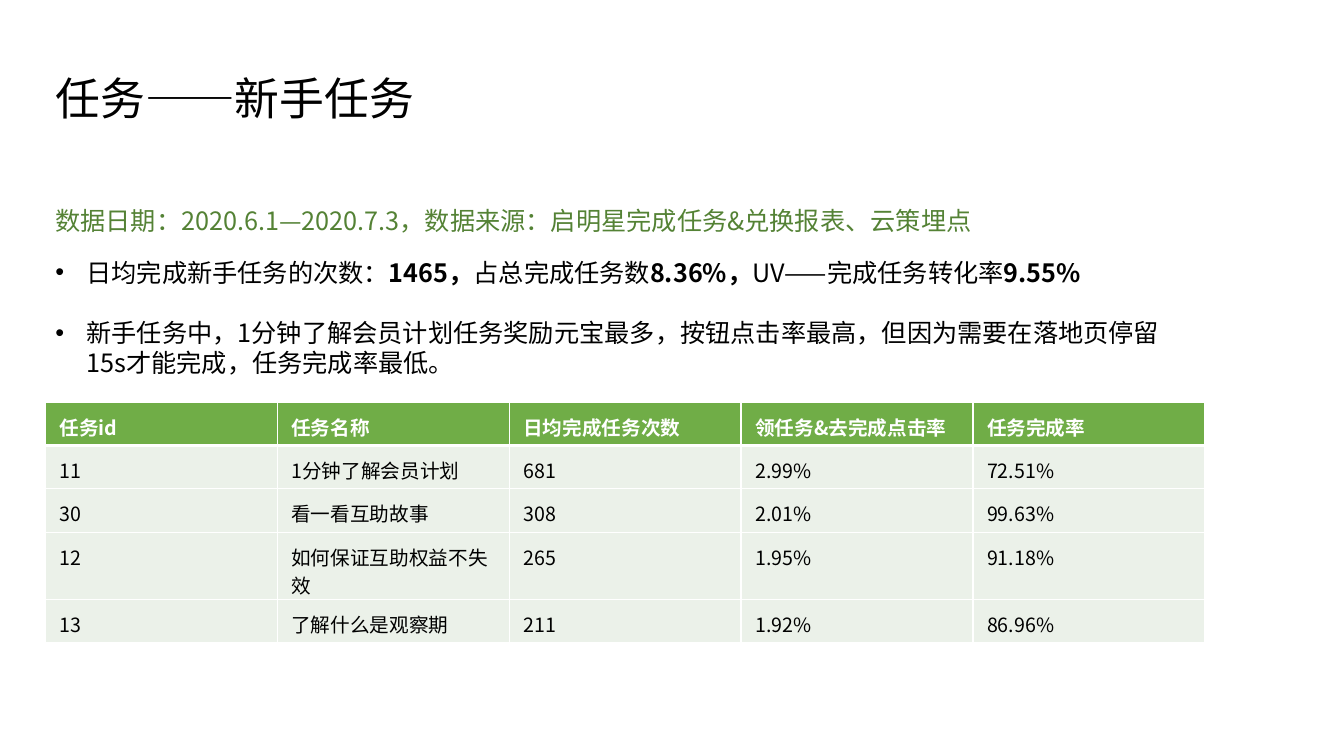
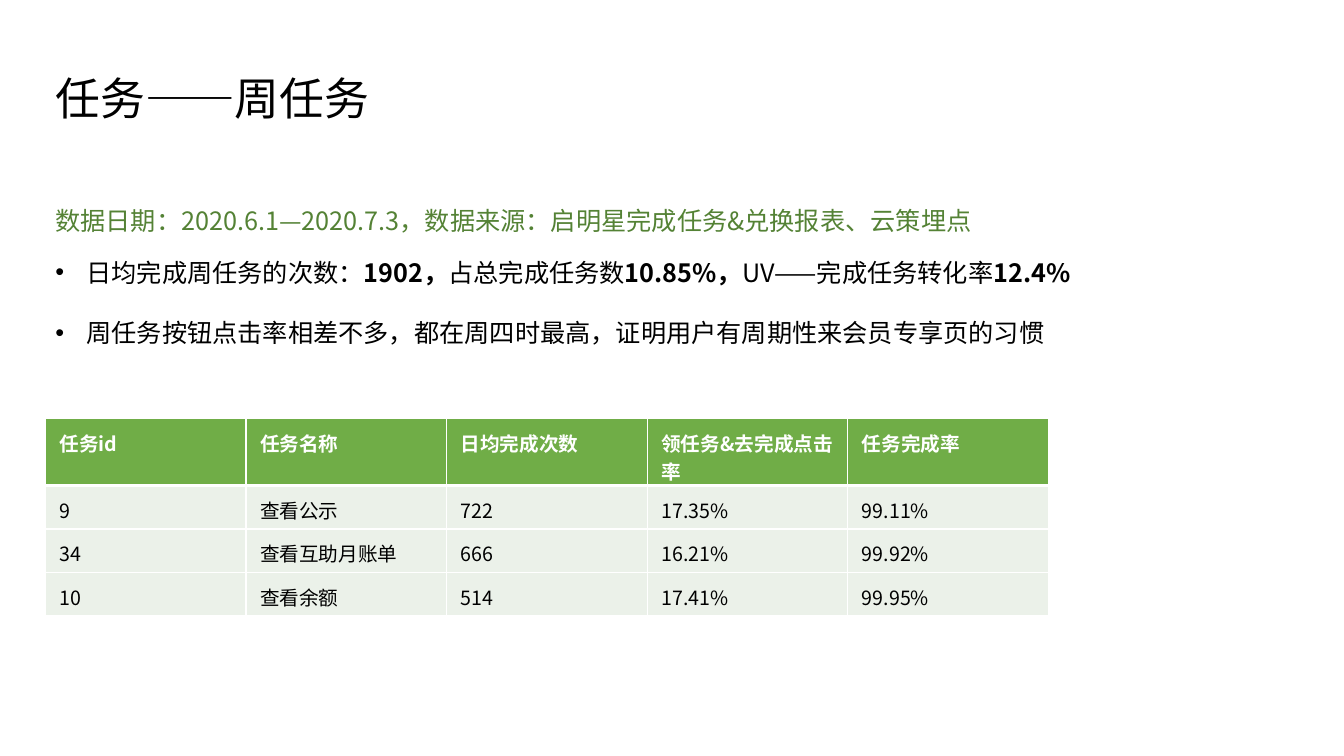
from dataclasses import dataclass

from lxml import etree
from pptx import Presentation
from pptx.dml.color import RGBColor
from pptx.enum.text import MSO_ANCHOR, MSO_AUTO_SIZE, PP_ALIGN
from pptx.oxml.ns import qn
from pptx.util import Inches, Pt

TOP = MSO_ANCHOR.TOP
FIXED = MSO_AUTO_SIZE.NONE
LEFT = PP_ALIGN.LEFT

FONT = "Noto Sans CJK SC"
HUES = {
    "ink": "000000",
    "note": "548235",
    "head": "70AD47",
    "row": "EBF1E9",
    "line": "FFFFFF",
}
EDGE = 0.45
PITCH = 1.2
INDENT = 0.31
LOW, HIGH = 0.43, 0.66
SOURCE = "数据日期：2020.6.1—2020.7.3，数据来源：启明星完成任务&兑换报表、云策埋点"


@dataclass(frozen=True)
class Span:
    text: str
    bold: bool = False


@dataclass(frozen=True)
class Grid:
    top: float
    col: float
    tall: int
    rows: list[list[str]]


@dataclass(frozen=True)
class Page:
    title: str
    points: list[list[Span]]
    grid: Grid


def stats(kind: str, count: str, share: str, rate: str) -> list[Span]:
    return [
        Span(f"日均完成{kind}任务的次数："),
        Span(f"{count}，", True),
        Span("占总完成任务数"),
        Span(f"{share}，", True),
        Span("UV——完成任务转化率"),
        Span(rate, True),
    ]


PAGES = [
    Page(
        "任务——新手任务",
        [
            stats("新手", "1465", "8.36%", "9.55%"),
            [Span("新手任务中，1分钟了解会员计划任务奖励元宝最多，按钮点击率最高，"
                  "但因为需要在落地页停留15s才能完成，任务完成率最低。")],
        ],
        Grid(3.99, 2.3, 3, [
            ["任务id", "任务名称", "日均完成任务次数", "领任务&去完成点击率", "任务完成率"],
            ["11", "1分钟了解会员计划", "681", "2.99%", "72.51%"],
            ["30", "看一看互助故事", "308", "2.01%", "99.63%"],
            ["12", "如何保证互助权益不失效", "265", "1.95%", "91.18%"],
            ["13", "了解什么是观察期", "211", "1.92%", "86.96%"],
        ]),
    ),
    Page(
        "任务——周任务",
        [
            stats("周", "1902", "10.85%", "12.4%"),
            [Span("周任务按钮点击率相差不多，都在周四时最高，证明用户有周期性来会员专享页的习惯")],
        ],
        Grid(4.15, 1.99, 0, [
            ["任务id", "任务名称", "日均完成次数", "领任务&去完成点击率", "任务完成率"],
            ["9", "查看公示", "722", "17.35%", "99.11%"],
            ["34", "查看互助月账单", "666", "16.21%", "99.92%"],
            ["10", "查看余额", "514", "17.41%", "99.95%"],
        ]),
    ),
]


def write(para, spans: list[Span], size: int, hue: str) -> None:
    para.alignment = LEFT
    for span in spans:
        run = para.add_run()
        run.text = span.text
        font = run.font
        font.size = Pt(size)
        font.bold = span.bold
        font.name = FONT
        font.color.rgb = RGBColor.from_string(HUES[hue])
        latin = font._element.find(qn("a:latin"))
        east = etree.Element(qn("a:ea"), typeface=FONT)
        latin.addnext(east)


def place(shape, top: float, width: float, height: float, wrap: bool = True):
    shape.left, shape.top = Inches(EDGE), Inches(top)
    shape.width, shape.height = Inches(width), Inches(height)
    frame = shape.text_frame
    frame.word_wrap = wrap
    frame.auto_size = FIXED
    frame.vertical_anchor = TOP
    return frame


def fill(frame, lines: list[list[Span]], size: int, hue: str,
         dots: bool = False) -> None:
    for i, spans in enumerate(lines):
        para = frame.add_paragraph() if i else frame.paragraphs[0]
        para.line_spacing = Pt(size * PITCH)
        para.space_before = Pt(size * PITCH if i else 0)
        write(para, spans, size, hue)
        if dots:
            props = para._p.get_or_add_pPr()
            props.set("marL", str(Inches(INDENT)))
            props.set("indent", str(-Inches(INDENT)))
            etree.SubElement(props, qn("a:buFont"), typeface="Arial")
            etree.SubElement(props, qn("a:buChar"), char="•")


def border(cell, row: int) -> None:
    props = cell._tc.get_or_add_tcPr()
    widths = {"L": 1, "R": 1, "T": 3 if row == 1 else 1, "B": 1 if row else 3}
    for i, (side, width) in enumerate(widths.items()):
        line = etree.Element(qn(f"a:ln{side}"), w=str(Pt(width)))
        solid = etree.SubElement(line, qn("a:solidFill"))
        etree.SubElement(solid, qn("a:srgbClr"), val=HUES["line"])
        props.insert(i, line)


def draw_grid(slide, grid: Grid) -> None:
    count, cols = len(grid.rows), len(grid.rows[0])
    high = LOW * (count - 1) + HIGH
    table = slide.shapes.add_table(
        count, cols, Inches(EDGE), Inches(grid.top),
        Inches(grid.col * cols), Inches(high)).table
    table.horz_banding = False
    for col in table.columns:
        col.width = Inches(grid.col)
    for r, texts in enumerate(grid.rows):
        table.rows[r].height = Inches(HIGH if r == grid.tall else LOW)
        for c, text in enumerate(texts):
            cell = table.cell(r, c)
            cell.margin_left = cell.margin_right = Inches(0.14)
            cell.margin_top, cell.margin_bottom = Inches(0.1), Inches(0)
            cell.vertical_anchor = TOP
            cell.fill.solid()
            cell.fill.fore_color.rgb = RGBColor.from_string(
                HUES["row" if r else "head"])
            border(cell, r)
            write(cell.text_frame.paragraphs[0], [Span(text, r == 0)], 14,
                  "ink" if r else "line")


def add_box(slide):
    return slide.shapes.add_textbox(0, 0, 0, 0)


def draw(deck, page: Page) -> None:
    slide = deck.slides.add_slide(deck.slide_layouts[5])
    title = place(slide.shapes.title, 0.65, 0.45 * len(page.title) + 0.2, 0.64, False)
    fill(title, [[Span(page.title)]], 32, "ink")
    note = place(add_box(slide), 1.99, 11.1, 0.4)
    fill(note, [[Span(SOURCE)]], 18, "note")
    body = place(add_box(slide), 2.5, 11.27, 1.32)
    fill(body, page.points, 18, "ink", True)
    draw_grid(slide, page.grid)


def main() -> None:
    deck = Presentation()
    deck.slide_width, deck.slide_height = Inches(13.33), Inches(7.5)
    for page in PAGES:
        draw(deck, page)
    deck.save("out.pptx")


if __name__ == "__main__":
    main()
